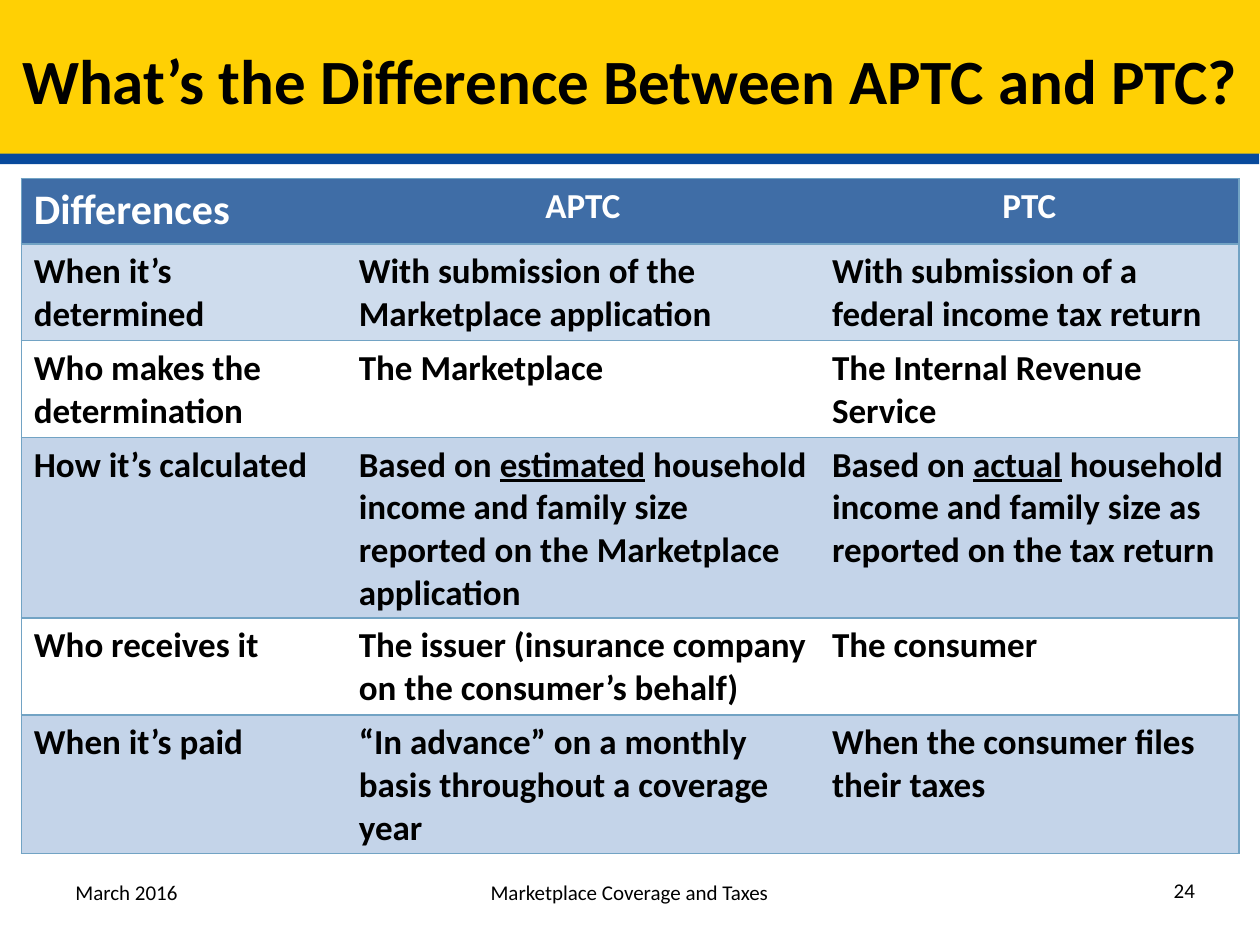
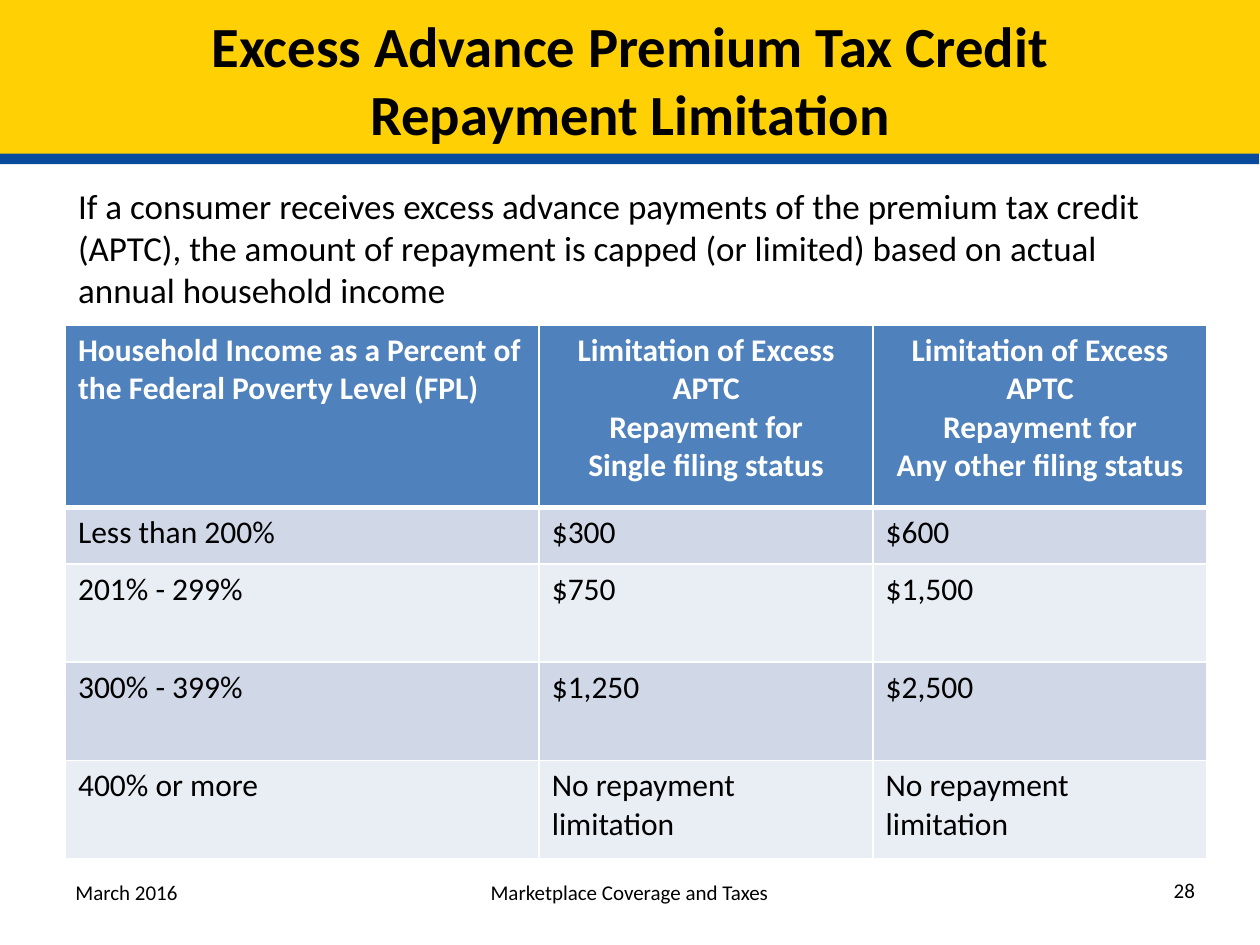
from pptx import Presentation
from pptx import util as u
from pptx.dml.color import RGBColor
from pptx.enum import shapes, text
from pptx.oxml import parse_xml
from pptx.oxml.ns import nsdecls


class Theme:
    font = "Calibri"
    ink, white = "000000", "FFFFFF"
    gold, navy = "FFD004", "084A9C"
    steel, rule = "3F6DA6", "72A3C4"
    pale, soft = "CEDCED", "C4D4E9"
    blue, mist, fog = "4F81BD", "D0D8E8", "E9EDF4"
    small, cell, lead, head = 12, 18, 20, 24
    title, twoline = 36, 32.4


T = Theme
LEFT, MID, RIGHT = text.PP_ALIGN.LEFT, text.PP_ALIGN.CENTER, text.PP_ALIGN.RIGHT


def write(frame, words, size, color=T.ink, align=LEFT, bold=False):
    """Fill a frame: newlines part paragraphs, underscores enclose underlined words."""
    frame.word_wrap = True
    for i, line in enumerate(words.split("\n")):
        para = frame.add_paragraph() if i else frame.paragraphs[0]
        para.alignment = align
        for j, part in enumerate(line.split("_")):
            run = para.add_run()
            run.text = part
            look = {"name": T.font, "size": u.Pt(size), "bold": bold, "underline": j % 2 == 1}
            for key, val in look.items():
                setattr(run.font, key, val)
            run.font.color.rgb = RGBColor.from_string(color)


def grid(slide, spot, cols, rows, data, fills, edges, fmt):
    """Add a table; edges(row, col) gives (colour, points) by side, fmt(row, col) the text format."""
    left, top = spot
    box = [u.Cm(n) for n in (left, top, sum(cols), sum(rows))]
    table = slide.shapes.add_table(len(rows), len(cols), *box).table
    table.first_row = table.horz_banding = False
    for col, wide in zip(table.columns, cols):
        col.width = u.Cm(wide)
    for row, high in zip(table.rows, rows):
        row.height = u.Cm(high)
    for r, line in enumerate(data):
        for c, words in enumerate(line):
            cell = table.cell(r, c)
            write(cell.text_frame, words, **fmt(r, c))
            props = cell._tc.get_or_add_tcPr()
            lines = edges(r, c)
            for side in "LRTB":
                color, wide = lines.get(side, (None, 0))
                paint = f'<a:solidFill><a:srgbClr val="{color}"/></a:solidFill>' if wide else "<a:noFill/>"
                props.append(parse_xml(
                    f'<a:ln{side} {nsdecls("a")} w="{u.Pt(wide)}">{paint}</a:ln{side}>'))
            cell.fill.solid()
            cell.fill.fore_color.rgb = RGBColor.from_string(fills[r])


deck = Presentation()
deck.slide_width, deck.slide_height = u.Cm(25.4), u.Cm(19.05)

# Titles and footers
pages = []
for name, layout, size, number in (
    ("What’s the Difference Between APTC and PTC?", 5, T.title, "24"),
    ("Excess Advance Premium Tax Credit\nRepayment Limitation", 1, T.twoline, "28"),
):
    slide = deck.slides.add_slide(deck.slide_layouts[layout])
    pages.append(slide)
    title = slide.shapes.title
    place = {"left": 0, "top": 0, "width": u.Cm(25.4), "height": u.Cm(3.18)}
    for key, val in place.items():
        setattr(title, key, val)
    title.text_frame.auto_size = text.MSO_AUTO_SIZE.NONE
    title.text_frame.vertical_anchor = text.MSO_ANCHOR.MIDDLE
    write(title.text_frame, name, size, align=MID, bold=True)
    for words, left, top, wide, align in (
        ("Marketplace Coverage and Taxes", 7.19, 17.6, 11, MID),
        ("March 2016", 1.27, 17.6, 5.92, LEFT),
        (number, 21.59, 17.57, 2.75, RIGHT),
    ):
        foot = slide.shapes.add_textbox(u.Cm(left), u.Cm(top), u.Cm(wide), u.Cm(1.02))
        write(foot.text_frame, words, T.small, align=align)

# Gold band with a hard navy shadow, moved to the master behind everything
band = pages[0].shapes.add_shape(
    shapes.MSO_SHAPE.RECTANGLE, 0, u.Cm(-0.08), u.Cm(25.4), u.Cm(3.18))
band.fill.solid()
band.fill.fore_color.rgb = RGBColor.from_string(T.gold)
band.line.fill.background()
band.element.spPr.append(parse_xml(
    f'<a:effectLst {nsdecls("a")}><a:outerShdw blurRad="0" dist="{u.Pt(6)}" dir="5640000" '
    f'algn="t" rotWithShape="0"><a:srgbClr val="{T.navy}"/></a:outerShdw></a:effectLst>'))
band.element.xpath(".//p:cNvPr")[0].set("id", "20")
deck.slide_master.shapes.element.insert(2, band.element)

# APTC and PTC side by side
terms = [
    ("Differences", "APTC", "PTC"),
    ("When it’s determined", "With submission of the Marketplace application",
     "With submission of a federal income tax return"),
    ("Who makes the determination", "The Marketplace", "The Internal Revenue Service"),
    ("How it’s calculated",
     "Based on _estimated_ household income and family size reported on the Marketplace application",
     "Based on _actual_ household income and family size as reported on the tax return"),
    ("Who receives it", "The issuer (insurance company on the consumer’s behalf)", "The consumer"),
    ("When it’s paid", "“In advance” on a monthly basis throughout a coverage year",
     "When the consumer files their taxes"),
]
grid(
    pages[0], (0.43, 3.6), (6.55, 9.54, 8.46), (1.32, 1.85, 1.85, 3.45, 1.85, 2.64), terms,
    (T.steel, T.pale, T.white, T.soft, T.white, T.soft),
    lambda r, c: dict.fromkeys("TB" + ("L", "", "R")[c], (T.rule, 1)),
    lambda r, c: {"size": T.lead if r or c else T.head, "color": T.ink if r else T.white,
                  "align": LEFT if r or not c else MID, "bold": True},
)

# Repayment caps
body = pages[1].placeholders[1]
place = {"left": u.Cm(1.32), "top": u.Cm(3.6), "width": u.Cm(22.86), "height": u.Cm(12.57)}
for key, val in place.items():
    setattr(body, key, val)
body.text_frame.auto_size = text.MSO_AUTO_SIZE.NONE
write(body.text_frame,
      "If a consumer receives excess advance payments of the premium tax credit (APTC), the amount "
      "of repayment is capped (or limited) based on actual annual household income", T.lead)
para = body.text_frame.paragraphs[0]
para.space_before = u.Pt(6)
props = para._p.get_or_add_pPr()
props.set("marL", "0")
props.set("indent", "0")
props.append(parse_xml(f'<a:buNone {nsdecls("a")}/>'))

limit = "Limitation of Excess APTC\nRepayment for\n"
caps = [
    ("Household Income as a Percent of the Federal Poverty Level (FPL)",
     limit + "Single filing status", limit + "Any other filing status"),
    ("Less than 200%", "$300", "$600"),
    ("201% - 299%", "$750", "$1,500"),
    ("300% - 399%", "$1,250", "$2,500"),
    ("400% or more", "No repayment limitation", "No repayment limitation"),
]
grid(
    pages[1], (1.32, 6.55), (9.55, 6.73, 6.73), (3.68, 1.14, 1.98, 1.98, 1.98), caps,
    (T.blue, T.mist, T.fog, T.mist, T.fog),
    lambda r, c: {"L": (T.white, 1), "R": (T.white, 1), "T": (T.white, 3 if r == 1 else 1),
                  "B": (T.white, 1 if r else 3)},
    lambda r, c: {"size": T.cell, "color": T.ink if r else T.white,
                  "align": LEFT if r or not c else MID, "bold": r == 0},
)

deck.save("out.pptx")
